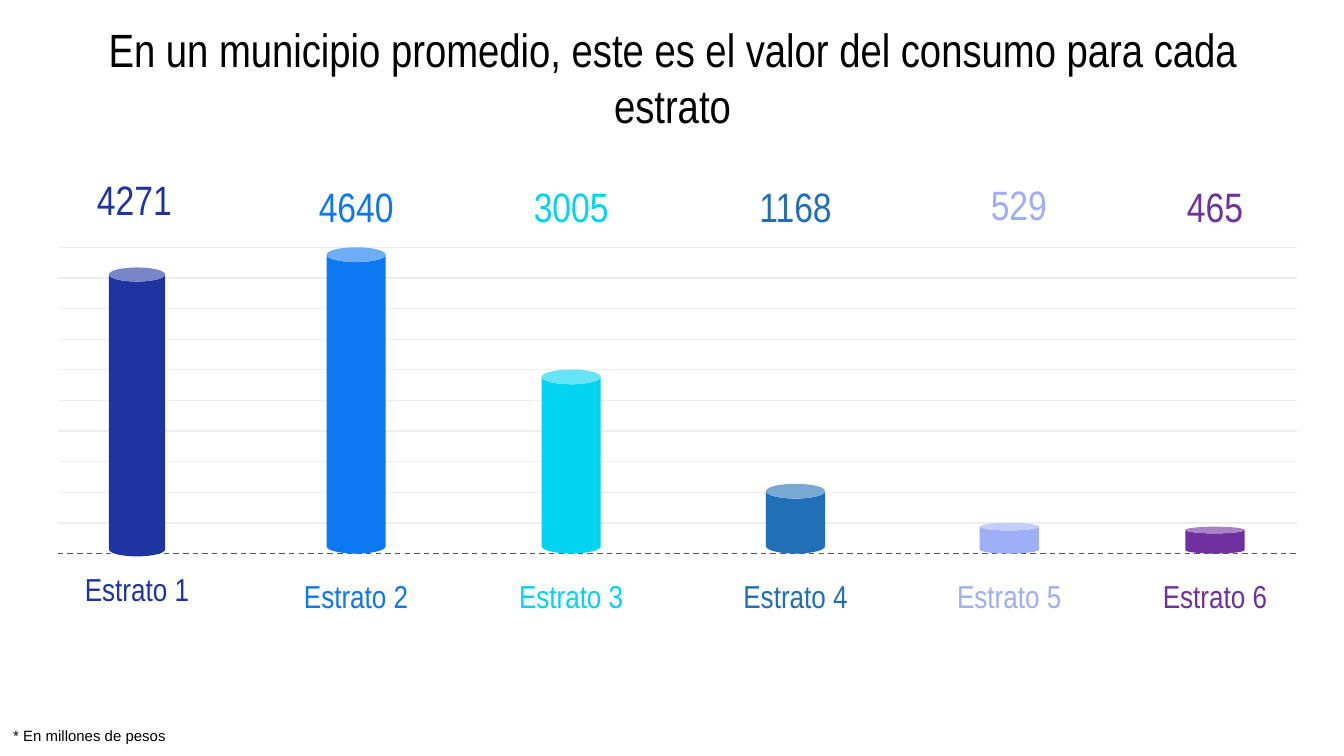
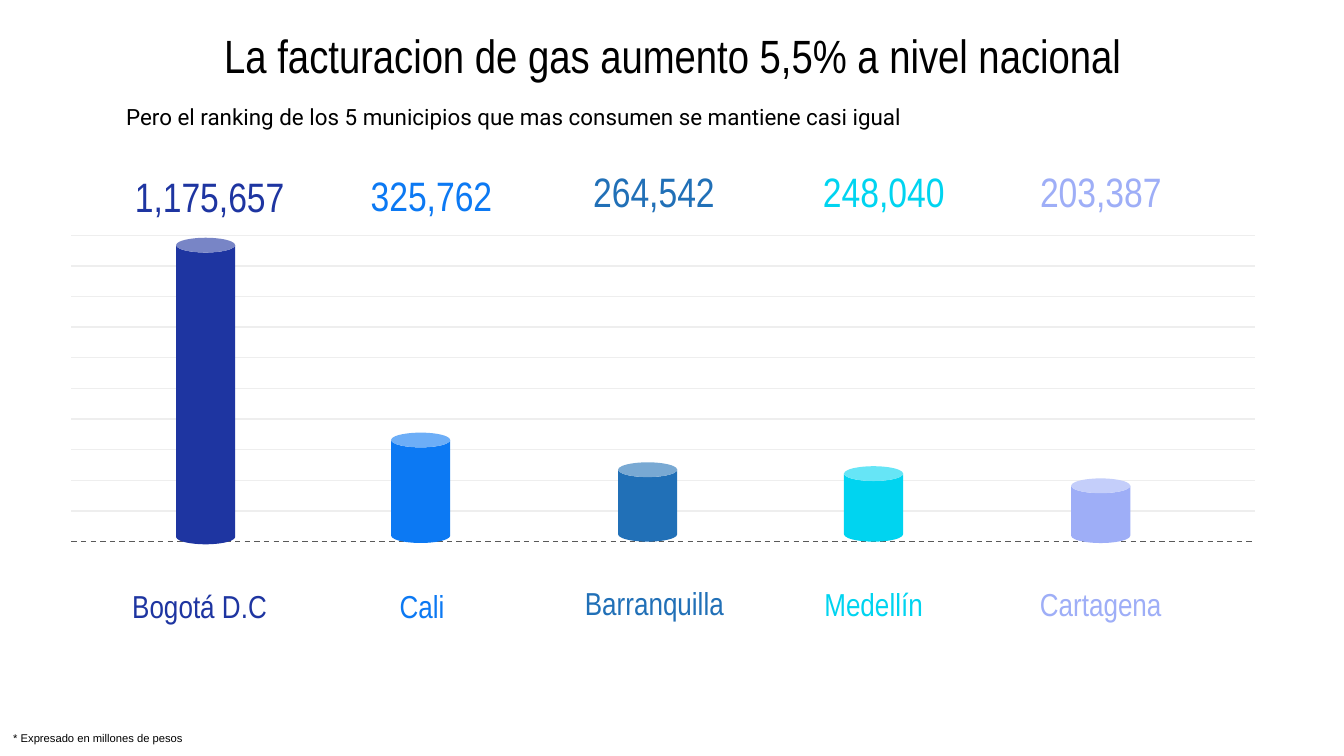
import pptx
import pptx.dml.color
import pptx.enum.dml
import pptx.enum.shapes
import pptx.enum.text
import pptx.oxml.ns
import pptx.util
from dataclasses import dataclass
from lxml import etree

Pt = pptx.util.Pt
ANCHOR = pptx.enum.text.MSO_ANCHOR
ALIGN = pptx.enum.text.PP_ALIGN


@dataclass(frozen=True)
class Theme:
    ink: str = "000000"
    grid: str = "EEEEEE"
    baseline: str = "595959"
    navy: str = "1E35A1"
    blue: str = "0C79F3"
    cyan: str = "00D4F0"
    steel: str = "2170B7"
    lilac: str = "9EAEF7"
    purple: str = "7030A0"
    narrow: str = "Arial Narrow"
    body: str = "Roboto"
    note: str = "Arial"
    title_size: int = 25
    value_size: int = 22
    label_size: int = 17
    subtitle_size: int = 12


THEME = Theme()


@dataclass(frozen=True)
class Column:
    """One can; shifts move its texts off the can's axis and the shared rows."""
    label: str
    value: str
    color: str
    center: float
    top: float
    drop: float = 0  # how far the can reaches below the baseline
    width: float = 31.7
    label_shift: tuple = (0, 0)
    value_shift: tuple = (0, 0)
    value_width: float = 0


SLIDES = [
    dict(
        title="En un municipio promedio, este es el valor del consumo para cada estrato",
        title_top=22.3,
        subtitle=None,
        note="* En millones de pesos", note_size=8, note_box=(0, 385.9, 97.2, 17.3),
        grid=(31, 695, 132.5, 296.6),
        value_row=110.2, label_row=319.3, value_width=69,
        columns=[
            Column("Estrato 1", "4271", THEME.navy, 73.4, 143.3, 1.5, 30.2,
                   label_shift=(0, -3.9), value_shift=(-1.4, -3.3)),
            Column("Estrato 2", "4640", THEME.blue, 190.8, 132.5),
            Column("Estrato 3", "3005", THEME.cyan, 306, 198),
            Column("Estrato 4", "1168", THEME.steel, 426.2, 259.2),
            Column("Estrato 5", "529", THEME.lilac, 540.7, 280.1, value_shift=(5.1, -0.8)),
            Column("Estrato 6", "465", THEME.purple, 650.9, 282.2),
        ],
    ),
    dict(
        title="La facturacion de gas aumento 5,5% a nivel nacional",
        title_top=10.1,
        subtitle="Pero el ranking de los 5 municipios que mas consumen se mantiene casi igual",
        note="* Expresado en millones de pesos", note_size=6, note_box=(0, 388.1, 106.6, 14.4),
        grid=(38.2, 672.5, 126, 290.2),
        value_row=102.2, label_row=323.6, value_width=101.5,
        columns=[
            Column("Bogotá D.C", "1,175,657", THEME.navy, 110.2, 127.4, 1.4,
                   label_shift=(-3.3, 0.8), value_shift=(2.1, 2.9), value_width=115.2),
            Column("Cali", "325,762", THEME.blue, 225.4, 231.8, 0.7,
                   label_shift=(0.7, 0.8), value_shift=(5.7, 2.2)),
            Column("Barranquilla", "264,542", THEME.steel, 347, 247.7,
                   label_shift=(3.6, -0.7), value_shift=(3.3, 0)),
            Column("Medellín", "248,040", THEME.cyan, 468, 249.8, value_shift=(5.4, 0)),
            Column("Cartagena", "203,387", THEME.lilac, 589.7, 256.3, 0.7),
        ],
    ),
]

TITLE_BOX = dict(left=37.4, width=645.8, height=38.2)
SUBTITLE_BOX = (60.5, 35.3, 479.5, 54.7)
LABEL_WIDTH = 99.4
LABEL_HEIGHT = 20.9
VALUE_HEIGHT = 24.5
GRID_STEPS = 10


def rgb(color):
    return pptx.dml.color.RGBColor.from_string(color)


def add_text(shapes, text, bounds, size, font=THEME.narrow, color=THEME.ink, align=ALIGN.CENTER):
    box = shapes.add_textbox(*map(Pt, bounds))
    frame = box.text_frame
    frame.word_wrap = True
    frame.vertical_anchor = ANCHOR.MIDDLE
    frame.margin_left = frame.margin_right = frame.margin_top = frame.margin_bottom = Pt(7.2)
    para = frame.paragraphs[0]
    para.text = text
    para.alignment = align
    para.font.size = Pt(size)
    para.font.name = font
    para.font.color.rgb = rgb(color)
    return frame


def centered(x, y, width, height):
    return x - width / 2, y - height / 2, width, height


def add_grid(page, left, right, top, bottom):
    lines = page.shapes.add_group_shape().shapes
    for step in range(GRID_STEPS + 1):
        y = top + (bottom - top) * step / GRID_STEPS
        line = lines.add_connector(pptx.enum.shapes.MSO_CONNECTOR.STRAIGHT,
                                   Pt(left), Pt(y), Pt(right), Pt(y))
        line.line.width = Pt(0.75)
        line.line.color.rgb = rgb(THEME.grid)
        if step == GRID_STEPS:
            line.line.color.rgb = rgb(THEME.baseline)
            line.line.dash_style = pptx.enum.dml.MSO_LINE.DASH
        properties = line.element.find(pptx.oxml.ns.qn("p:spPr"))
        etree.SubElement(properties, pptx.oxml.ns.qn("a:effectLst"))


def add_column(page, column, content):
    shapes = page.shapes.add_group_shape().shapes
    height = content["grid"][3] + column.drop - column.top
    can = shapes.add_shape(
        pptx.enum.shapes.MSO_SHAPE.CAN,
        Pt(column.center - column.width / 2), Pt(column.top), Pt(column.width), Pt(height))
    can.adjustments[0] = 0.25
    can.shadow.inherit = False
    can.fill.solid()
    can.fill.fore_color.rgb = rgb(column.color)
    can.line.fill.background()

    value_width = column.value_width or content["value_width"]
    for text, row, shift, width, height, size in (
        (column.label, content["label_row"], column.label_shift,
         LABEL_WIDTH, LABEL_HEIGHT, THEME.label_size),
        (column.value, content["value_row"], column.value_shift,
         value_width, VALUE_HEIGHT, THEME.value_size),
    ):
        bounds = centered(column.center + shift[0], row + shift[1], width, height)
        add_text(shapes, text, bounds, size, color=column.color)


def add_note(page, content):
    frame = add_text(page.shapes, content["note"], content["note_box"], content["note_size"],
                     THEME.note, align=ALIGN.LEFT)
    frame.word_wrap = False
    frame.vertical_anchor = ANCHOR.TOP
    frame.margin_top = frame.margin_bottom = Pt(3.6)
    frame.auto_size = pptx.enum.text.MSO_AUTO_SIZE.SHAPE_TO_FIT_TEXT


def add_page(deck, content):
    page = deck.slides.add_slide(deck.slide_layouts[6])
    add_grid(page, *content["grid"])
    title_bounds = (TITLE_BOX["left"], content["title_top"],
                    TITLE_BOX["width"], TITLE_BOX["height"])
    add_text(page.shapes, content["title"], title_bounds, THEME.title_size)
    for column in content["columns"]:
        add_column(page, column, content)
    add_note(page, content)
    if content["subtitle"]:
        add_text(page.shapes, content["subtitle"], SUBTITLE_BOX, THEME.subtitle_size,
                 THEME.body, align=ALIGN.LEFT)


def main():
    deck = pptx.Presentation()
    deck.slide_width, deck.slide_height = Pt(720), Pt(405)
    for content in SLIDES:
        add_page(deck, content)
    deck.save("out.pptx")


if __name__ == "__main__":
    main()
